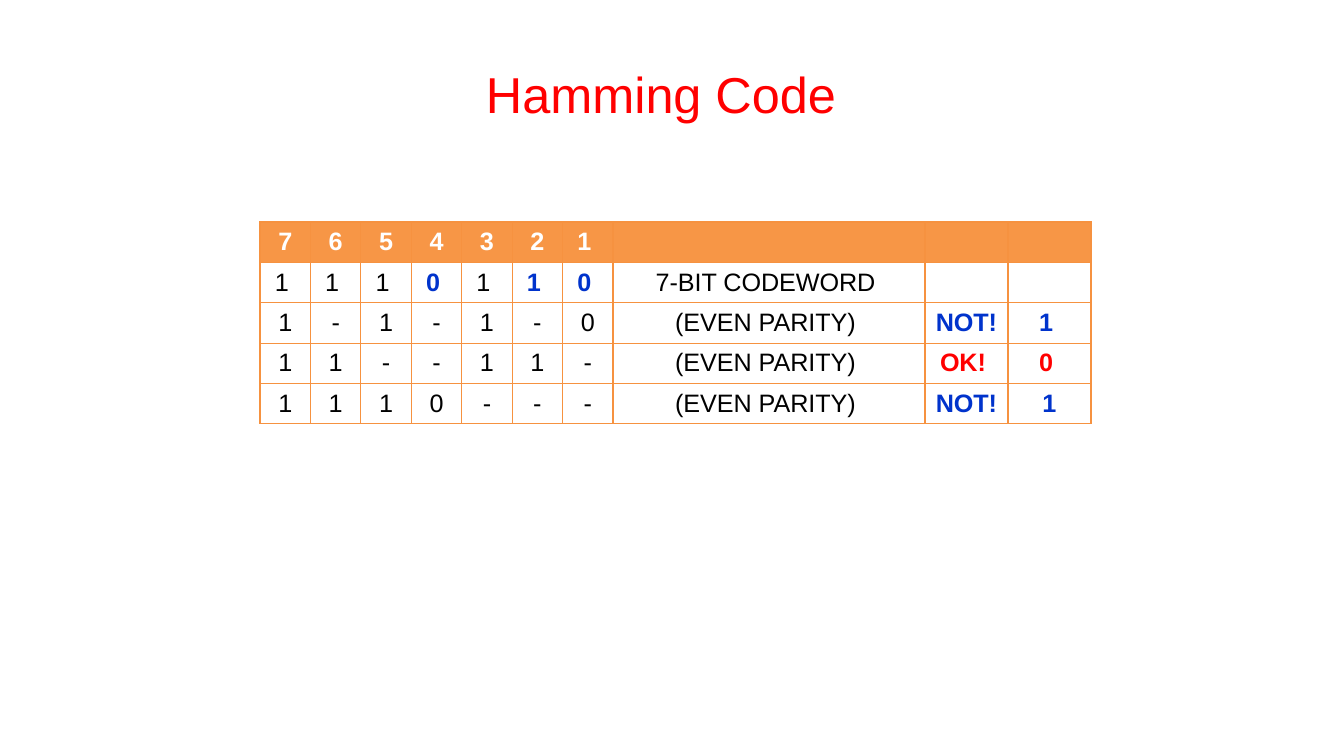
"""Build the Hamming Code slide with its parity check table."""
import pptx
import pptx.dml.color
import pptx.enum.text
import pptx.oxml
import pptx.oxml.ns
import pptx.util

COLOURS = {"title": "FF0000", "header": "F79646", "border": "F69240", "header_text": "FFFFFF",
           "body": "000000", "blue": "0033CC", "red": "FF0000"}
TITLE = "Hamming Code"
CHECKS = [
    ["7", "6", "5", "4", "3", "2", "1 ", "", "", ""],
    ["1 ", "1 ", "1 ", "0 ", "1 ", "1 ", "0 ", "7-BIT CODEWORD ", "", ""],
    ["1", "-", "1", "-", "1", "-", "0", "(EVEN PARITY) ", "NOT! ", "1 "],
    ["1", "1", "-", "-", "1", "1", "-", "(EVEN PARITY) ", "OK! ", "0 "],
    ["1", "1", "1", "0", "-", "-", "-", "(EVEN PARITY) ", "NOT! ", "1"],
]
EMPHASIS = {1: ("blue", (3, 5, 6)), 2: ("blue", (8, 9)), 3: ("red", (8, 9)), 4: ("blue", (8, 9))}
FONT, TITLE_SIZE, CELL_SIZE = "Arial", 27, 13.5
SCALE = 914400 / 134.4
BITS, BITS_WIDTH = 7, 353
COLUMNS = [BITS_WIDTH / BITS] * BITS + [312, 83, 83]
TABLE_LEFT, TABLE_TOP, TABLE_HEIGHT = 260, 222, 202


def px(length):
    return pptx.util.Emu(round(length * SCALE))


def style(paragraph, size, colour, bold=False):
    paragraph.alignment = pptx.enum.text.PP_ALIGN.CENTER
    font = paragraph.font
    font.name, font.size, font.bold = FONT, pptx.util.Pt(size), bold
    font.color.rgb = pptx.dml.color.RGBColor.from_string(COLOURS[colour])


def add_borders(cell):
    properties = cell._tc.get_or_add_tcPr()
    for side in "LRTB":
        properties.append(pptx.oxml.parse_xml(
            f'<a:ln{side} {pptx.oxml.ns.nsdecls("a")} w="{pptx.util.Pt(0.75)}"><a:solidFill>'
            f'<a:srgbClr val="{COLOURS["border"]}"/></a:solidFill></a:ln{side}>'))


def fill_cell(cell, text, row, column):
    colour, columns = EMPHASIS.get(row, ("body", ()))
    header, marked = row == 0, column in columns
    cell.text = text
    cell.vertical_anchor = pptx.enum.text.MSO_ANCHOR.MIDDLE
    cell.margin_left = cell.margin_right = px(10)
    cell.margin_top = cell.margin_bottom = px(5)
    paragraph = cell.text_frame.paragraphs[0]
    style(paragraph, CELL_SIZE, "header_text" if header else colour if marked else "body",
          header or marked)
    if not text:
        paragraph._p.get_or_add_endParaRPr().set("sz", str(round(CELL_SIZE * 100)))
    add_borders(cell)
    if header:
        cell.fill.solid()
        cell.fill.fore_color.rgb = pptx.dml.color.RGBColor.from_string(COLOURS["header"])
    else:
        cell.fill.background()


deck = pptx.Presentation()
deck.slide_width, deck.slide_height = px(1344), px(756)
slide = deck.slides.add_slide(deck.slide_layouts[6])

title = slide.shapes.add_textbox(px(56), px(34), px(1210), px(118)).text_frame
title.word_wrap = True
title.vertical_anchor = pptx.enum.text.MSO_ANCHOR.MIDDLE
title.text = TITLE
style(title.paragraphs[0], TITLE_SIZE, "title")

parity = slide.shapes.add_table(len(CHECKS), len(COLUMNS), px(TABLE_LEFT), px(TABLE_TOP),
                                px(sum(COLUMNS)), px(TABLE_HEIGHT)).table
for column, width in zip(parity.columns, COLUMNS):
    column.width = px(width)
for row, texts in enumerate(CHECKS):
    parity.rows[row].height = px(TABLE_HEIGHT / len(CHECKS))
    for column, text in enumerate(texts):
        fill_cell(parity.cell(row, column), text, row, column)

deck.save("out.pptx")
